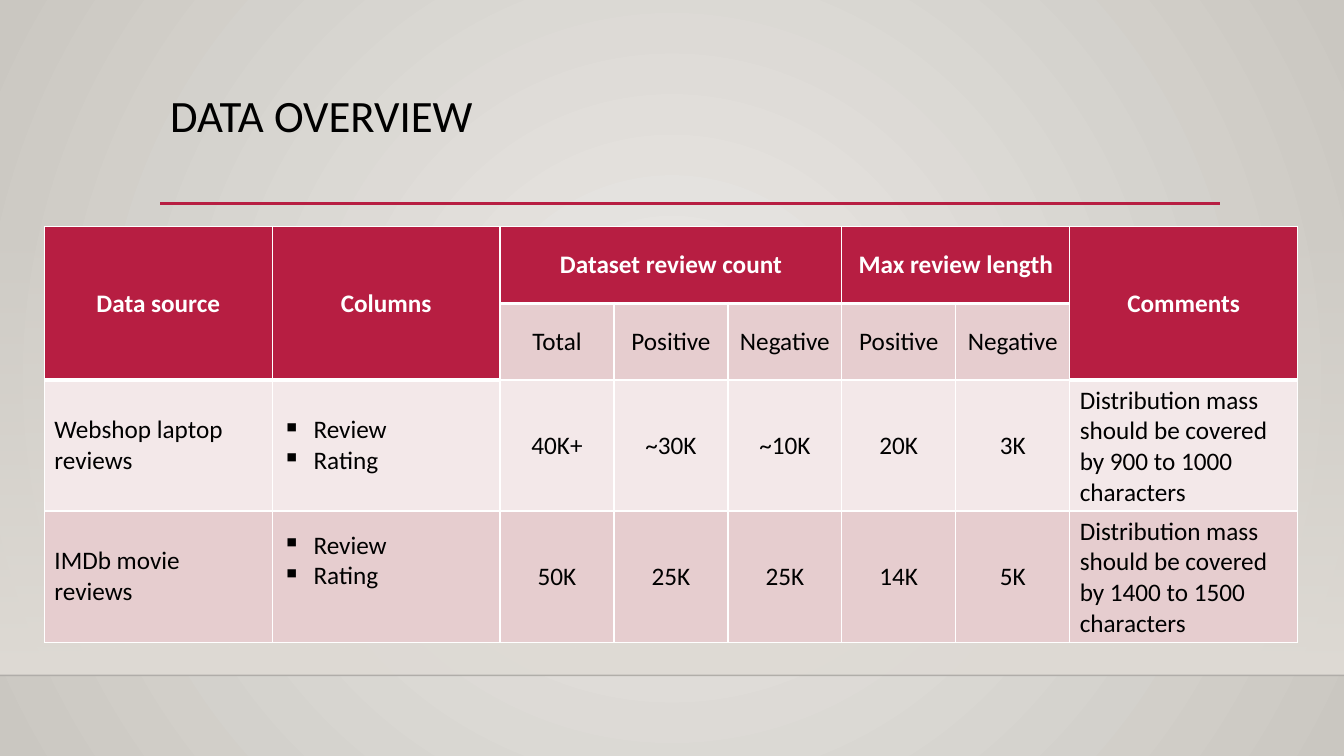
"""Build the data overview slide with its review table."""
from lxml import etree
from pptx import Presentation
from pptx.dml.color import RGBColor
from pptx.enum.shapes import MSO_CONNECTOR, MSO_SHAPE
from pptx.enum.text import MSO_ANCHOR, PP_ALIGN
from pptx.oxml.ns import qn
from pptx.util import Inches, Pt

LEFT, CENTER = PP_ALIGN.LEFT, PP_ALIGN.CENTER
MIDDLE, TOP = MSO_ANCHOR.MIDDLE, MSO_ANCHOR.TOP
STRAIGHT, RECTANGLE = MSO_CONNECTOR.STRAIGHT, MSO_SHAPE.RECTANGLE

FONT = "Calibri"
BLACK = RGBColor(0x00, 0x00, 0x00)
WHITE = RGBColor(0xFF, 0xFF, 0xFF)
FLOOR_LINE = RGBColor(0x00, 0x00, 0x01)
CRIMSON = RGBColor(0xB7, 0x1E, 0x42)
BAND_DARK = RGBColor(0xE6, 0xCD, 0xCF)
BAND_LIGHT = RGBColor(0xF3, 0xE8, 0xE9)
BACK_INNER = RGBColor(0xEC, 0xEA, 0xE7)
BACK_OUTER = RGBColor(0xCA, 0xC7, 0xC1)
WALL = RGBColor(0xDF, 0xDB, 0xD5)

TITLE = "DATA OVERVIEW"
FIELDS = ["Review", "Rating"]
ROWS = [
    ["Data source", "Columns", "Dataset review count", None, None,
     "Max review length", None, "Comments"],
    [None, None, "Total", "Positive", "Negative", "Positive", "Negative", None],
    ["Webshop laptop reviews", FIELDS, "40K+", "~30K", "~10K", "20K", "3K",
     "Distribution mass should be covered by 900 to 1000 characters"],
    ["IMDb movie reviews", FIELDS, "50K", "25K", "25K", "14K", "5K",
     "Distribution mass should be covered by 1400 to 1500 characters"],
]
MERGES = [(0, 0, 1, 0), (0, 1, 1, 1), (0, 2, 0, 4), (0, 5, 0, 6), (0, 7, 1, 7)]
HEADER_DEPTH = [2, 2, 1, 1, 1, 1, 1, 2]
BANDS = [BAND_LIGHT, BAND_DARK]
NARROW = 1.13
COL_WIDTHS = [2 * NARROW if depth == 2 else NARROW for depth in HEADER_DEPTH]
ROW_HEIGHTS = [0.76, 0.76, 1.3, 1.3]
TABLE_LEFT, TABLE_TOP = 0.44, 2.25


def add_text(tf, lines, size=18, color=BLACK, bold=False, align=LEFT,
             bullet=None, spacing=None):
    for i, line in enumerate(lines):
        p = tf.paragraphs[0] if i == 0 else tf.add_paragraph()
        p.alignment = align
        if spacing:
            p.line_spacing = spacing
        if bullet:
            pPr = p._p.get_or_add_pPr()
            pPr.set("marL", str(Inches(0.31)))
            pPr.set("indent", str(-Inches(0.31)))
            etree.SubElement(pPr, qn("a:buChar"), char=bullet)
        r = p.add_run()
        r.text = line
        r.font.name, r.font.size, r.font.bold = FONT, Pt(size), bold
        r.font.color.rgb = color


def set_gradient(fill, owner, first, last):
    fill.gradient()
    for stop, color in zip(fill.gradient_stops, (first, last)):
        stop.color.rgb = color
    return next(owner.iter(qn("a:gradFill")))


def set_alpha(owner, percent):
    color = next(owner.iter(qn("a:srgbClr")))
    etree.SubElement(color, qn("a:alpha"), val=str(percent * 1000))


def add_line(s, x1, x2, y, color, width):
    line = s.shapes.add_connector(
        STRAIGHT, Inches(x1), Inches(y), Inches(x2), Inches(y))
    line.line.color.rgb = color
    line.line.width = Pt(width)
    etree.SubElement(line._element.spPr, qn("a:effectLst"))
    return line


def set_borders(cell, top, bottom):
    tcPr = cell._tc.get_or_add_tcPr()
    sides = [("a:lnL", 1), ("a:lnR", 1), ("a:lnT", top), ("a:lnB", bottom)]
    for i, (tag, width) in enumerate(sides):
        ln = etree.Element(qn(tag), w=str(Pt(width)))
        solid = etree.SubElement(ln, qn("a:solidFill"))
        etree.SubElement(solid, qn("a:srgbClr"), val=str(WHITE))
        tcPr.insert(i, ln)


def add_background(s):
    grad = set_gradient(s.background.fill, s._element, BACK_INNER, BACK_OUTER)
    grad.remove(grad.find(qn("a:lin")))
    circle = etree.SubElement(grad, qn("a:path"), {"path": "circle"})
    etree.SubElement(circle, qn("a:fillToRect"), dict.fromkeys("ltrb", "50000"))
    wall = s.shapes.add_shape(
        RECTANGLE, 0, Inches(2.21), Inches(13.33), Inches(4.49))
    wall.shadow.inherit = False
    wall.line.fill.background()
    grad = set_gradient(wall.fill, wall._element, WALL, WALL)
    wall.fill.gradient_angle = 270
    set_alpha(grad, 0)
    set_alpha(add_line(s, 0, 13.33, 6.7, FLOOR_LINE, 1)._element, 20)


def add_title(s):
    add_line(s, 1.59, 12.1, 2.02, CRIMSON, 2.5)
    box = s.shapes.add_textbox(
        Inches(1.59), Inches(0.88), Inches(10.5), Inches(1.15))
    tf = box.text_frame
    tf.word_wrap, tf.vertical_anchor = True, TOP
    add_text(tf, [TITLE], size=32, spacing=0.9)


def add_review_table(s):
    table = s.shapes.add_table(
        len(ROWS), len(COL_WIDTHS), Inches(TABLE_LEFT), Inches(TABLE_TOP),
        Inches(sum(COL_WIDTHS)), Inches(sum(ROW_HEIGHTS))).table
    table.horz_banding = False
    for col, width in zip(table.columns, COL_WIDTHS):
        col.width = Inches(width)
    for row, height in zip(table.rows, ROW_HEIGHTS):
        row.height = Inches(height)
    for r1, c1, r2, c2 in MERGES:
        table.cell(r1, c1).merge(table.cell(r2, c2))
    for i, row in enumerate(ROWS):
        for j, value in enumerate(row):
            cell = table.cell(i, j)
            depth = HEADER_DEPTH[j]
            header = i < depth
            cell.vertical_anchor = MIDDLE
            cell.fill.solid()
            cell.fill.fore_color.rgb = CRIMSON if header else BANDS[i % 2]
            set_borders(cell, 3 if i == depth else 1, 3 if header else 1)
            if value is None:
                continue
            listed = isinstance(value, list)
            add_text(cell.text_frame, value if listed else [value],
                     color=WHITE if header else BLACK, bold=header,
                     align=CENTER if header or depth == 1 else LEFT,
                     bullet="▪" if listed else None)
    table.cell(3, 1).margin_bottom = Inches(0.36)


def main():
    prs = Presentation()
    prs.slide_width, prs.slide_height = Inches(13.33), Inches(7.5)
    s = prs.slides.add_slide(prs.slide_layouts[6])
    add_background(s)
    add_title(s)
    add_review_table(s)
    prs.save("out.pptx")


if __name__ == "__main__":
    main()
